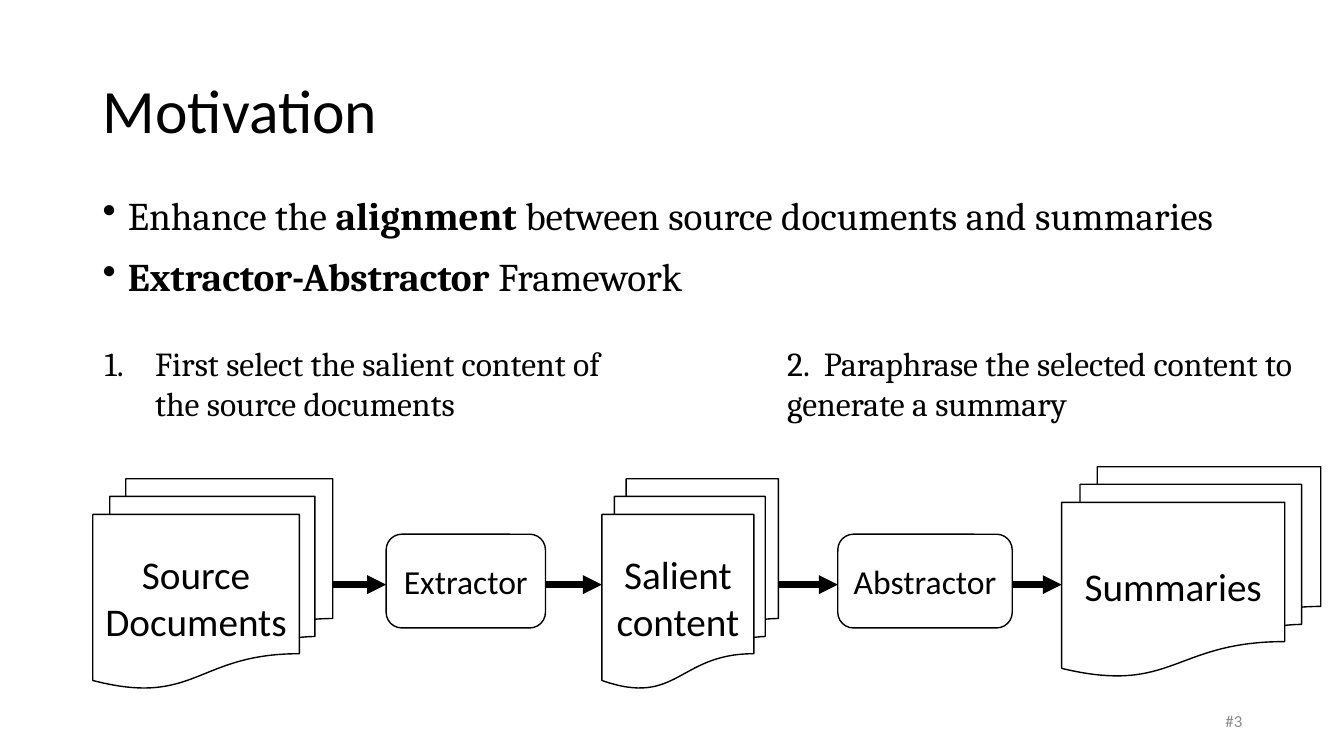
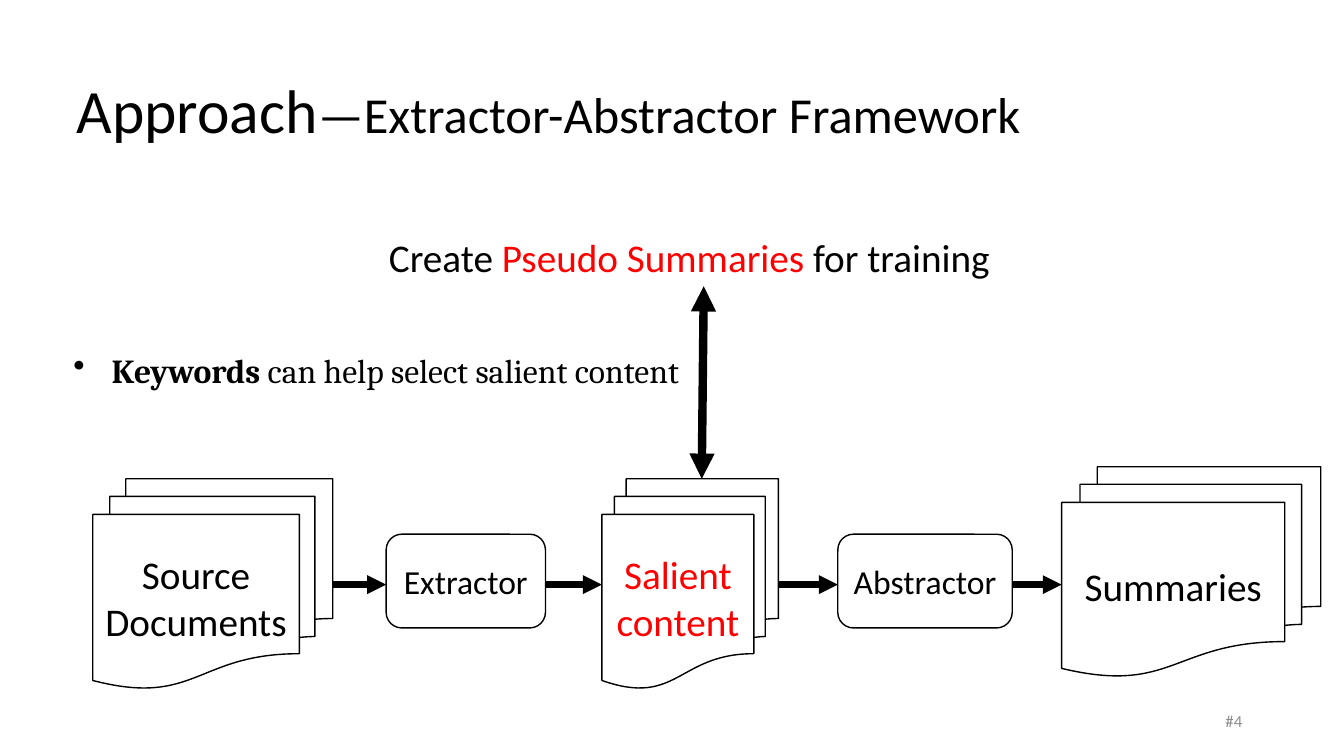
from lxml import etree
from pptx import Presentation
from pptx.dml.color import RGBColor
from pptx.enum.shapes import MSO_CONNECTOR, MSO_SHAPE
from pptx.enum.text import MSO_ANCHOR, MSO_AUTO_SIZE, PP_ALIGN
from pptx.oxml.ns import qn
from pptx.util import Inches, Pt

STRAIGHT = MSO_CONNECTOR.STRAIGHT
STACK, ROUNDED = MSO_SHAPE.FLOWCHART_MULTIDOCUMENT, MSO_SHAPE.ROUNDED_RECTANGLE
TOP, MIDDLE = MSO_ANCHOR.TOP, MSO_ANCHOR.MIDDLE
LEFT, CENTER, RIGHT = PP_ALIGN.LEFT, PP_ALIGN.CENTER, PP_ALIGN.RIGHT
NO_AUTOFIT = MSO_AUTO_SIZE.NONE

COLORS = {"text": "000000", "paper": "FFFFFF", "highlight": "FF0000", "footer": "8C8C8C"}
TITLE = {"name": "Calibri", "size": Pt(44)}
SUBTITLE = {"size": Pt(36)}
BODY = {"name": "Cambria", "size": Pt(28)}
DETAIL = {"name": "Cambria", "size": Pt(24)}
LABEL = {"name": "Calibri", "size": Pt(28)}
STEP = {"name": "Calibri", "size": Pt(24)}
FOOTER = {"name": "Calibri", "size": Pt(12), "color": "footer"}
BOLD = {"bold": True}
RED = {"color": "highlight"}

# Bullet element, its attributes, and the hanging indent in inches
BODY_BULLET = ("a:buChar", {"char": "•"}, 0.25)
DETAIL_BULLET = ("a:buChar", {"char": "•"}, 0.38)
NUMBER = ("a:buAutoNum", {"type": "arabicPeriod"}, 0.5)

ARROW_Y = 5.8
# Shape, label, format, left, top, width, height
FLOW = [
    (STACK, "Source Documents", LABEL, 0.92, 4.75, 2.38, 2.08),
    (ROUNDED, "Extractor", STEP, 3.83, 5.3, 1.58, 0.93),
    (STACK, "Salient content", LABEL, 5.97, 4.75, 1.75, 2.08),
    (ROUNDED, "Abstractor", STEP, 8.31, 5.3, 1.73, 0.93),
    (STACK, "Summaries", LABEL, 10.53, 4.63, 2.57, 2.08),
]

SLIDES = [
    {
        "title": [("Motivation", {})],
        "title_left": 0.92,
        "number": "#3",
        "texts": [
            ((0.92, 1.85, 12.41, 1.26), BODY, BODY_BULLET, [
                [("Enhance the ", {}), ("alignment", BOLD),
                 (" between source documents and summaries", {})],
                [("Extractor-Abstractor ", BOLD), ("Framework", {})],
            ]),
            ((0.94, 3.35, 5.23, 0.91), DETAIL, NUMBER, [
                [("First select the salient content of the source documents", {})],
            ]),
            ((7.71, 3.35, 5.23, 0.91), DETAIL, None, [
                [("2.  Paraphrase the selected content to generate a summary", {})],
            ]),
        ],
        "arrows": [],
        "highlighted": "",
    },
    {
        "title": [("Approach", {}), ("—Extractor-Abstractor Framework", SUBTITLE)],
        "title_left": 0.66,
        "number": "#4",
        "texts": [
            ((3.76, 2.27, 6.43, 0.57), LABEL, None, [
                [("Create ", {}), ("Pseudo Summaries ", RED), ("for training", {})],
            ]),
            ((0.63, 3.42, 6.88, 0.5), DETAIL, DETAIL_BULLET, [
                [("Keywords", BOLD), (" can help select salient content", {})],
            ]),
        ],
        "arrows": [((6.96, 4.75), (6.98, 2.84), 6, ("headEnd", "tailEnd"))],
        "highlighted": "Salient content",
    },
]


def write_text(shape, paragraphs, style, alignment=LEFT, anchor=TOP, bullet=None):
    """Fill a shape with paragraphs, each a list of (text, format overrides)."""
    frame = shape.text_frame
    frame.word_wrap = True
    frame.auto_size = NO_AUTOFIT
    frame.vertical_anchor = anchor
    for index, runs in enumerate(paragraphs):
        paragraph = frame.add_paragraph() if index else frame.paragraphs[0]
        if bullet:
            tag, attributes, indent = bullet
            properties = paragraph._p.get_or_add_pPr()
            properties.set("marL", str(Inches(indent)))
            properties.set("indent", str(-Inches(indent)))
            etree.SubElement(properties, qn(tag), attributes)
        paragraph.alignment = alignment
        if index:
            paragraph.space_before = Pt(10)
        for text, overrides in runs:
            run = paragraph.add_run()
            run.text = text
            values = {"color": "text", "bold": False, **style, **overrides}
            run.font.color.rgb = RGBColor.from_string(COLORS[values.pop("color")])
            for attribute, value in values.items():
                setattr(run.font, attribute, value)


def add_arrow(slide, start, end, width, heads=("tailEnd",)):
    points = [Inches(value) for value in (*start, *end)]
    connector = slide.shapes.add_connector(STRAIGHT, *points)
    connector.line.color.rgb = RGBColor.from_string(COLORS["text"])
    connector.line.width = Pt(width)
    line = connector.line._get_or_add_ln()
    for head in heads:
        etree.SubElement(line, qn(f"a:{head}"), {"type": "triangle"})
    etree.SubElement(connector._element.spPr, qn("a:effectLst"))


presentation = Presentation()
presentation.slide_width = Inches(13.33)
presentation.slide_height = Inches(7.5)
title_only = presentation.slide_layouts[5]

for content in SLIDES:
    slide = presentation.slides.add_slide(title_only)
    title = slide.shapes.title
    title.left, title.top = Inches(content["title_left"]), Inches(0.4)
    title.width, title.height = Inches(11.5), Inches(1.45)
    write_text(title, [content["title"]], TITLE, anchor=MIDDLE)
    title.text_frame.paragraphs[0].line_spacing = 0.9

    for box, style, bullet, paragraphs in content["texts"]:
        text_box = slide.shapes.add_textbox(*map(Inches, box))
        write_text(text_box, paragraphs, style, bullet=bullet)

    for kind, label, style, *box in FLOW:
        shape = slide.shapes.add_shape(kind, *map(Inches, box))
        shape.shadow.inherit = False
        shape.fill.solid()
        shape.fill.fore_color.rgb = RGBColor.from_string(COLORS["paper"])
        shape.line.color.rgb = RGBColor.from_string(COLORS["text"])
        shape.line.width = Pt(1)
        overrides = RED if label == content["highlighted"] else {}
        write_text(shape, [[(label, overrides)]], style, CENTER, MIDDLE)

    for source, target in zip(FLOW, FLOW[1:]):
        source_left, source_width = source[3], source[5]
        add_arrow(slide, (source_left + source_width, ARROW_Y), (target[3], ARROW_Y), 4.5)
    for arrow in content["arrows"]:
        add_arrow(slide, *arrow)

    footer = slide.shapes.add_textbox(Inches(9.42), Inches(6.95), Inches(3), Inches(0.4))
    write_text(footer, [[(content["number"], {})]], FOOTER, RIGHT, MIDDLE)

presentation.save("out.pptx")
